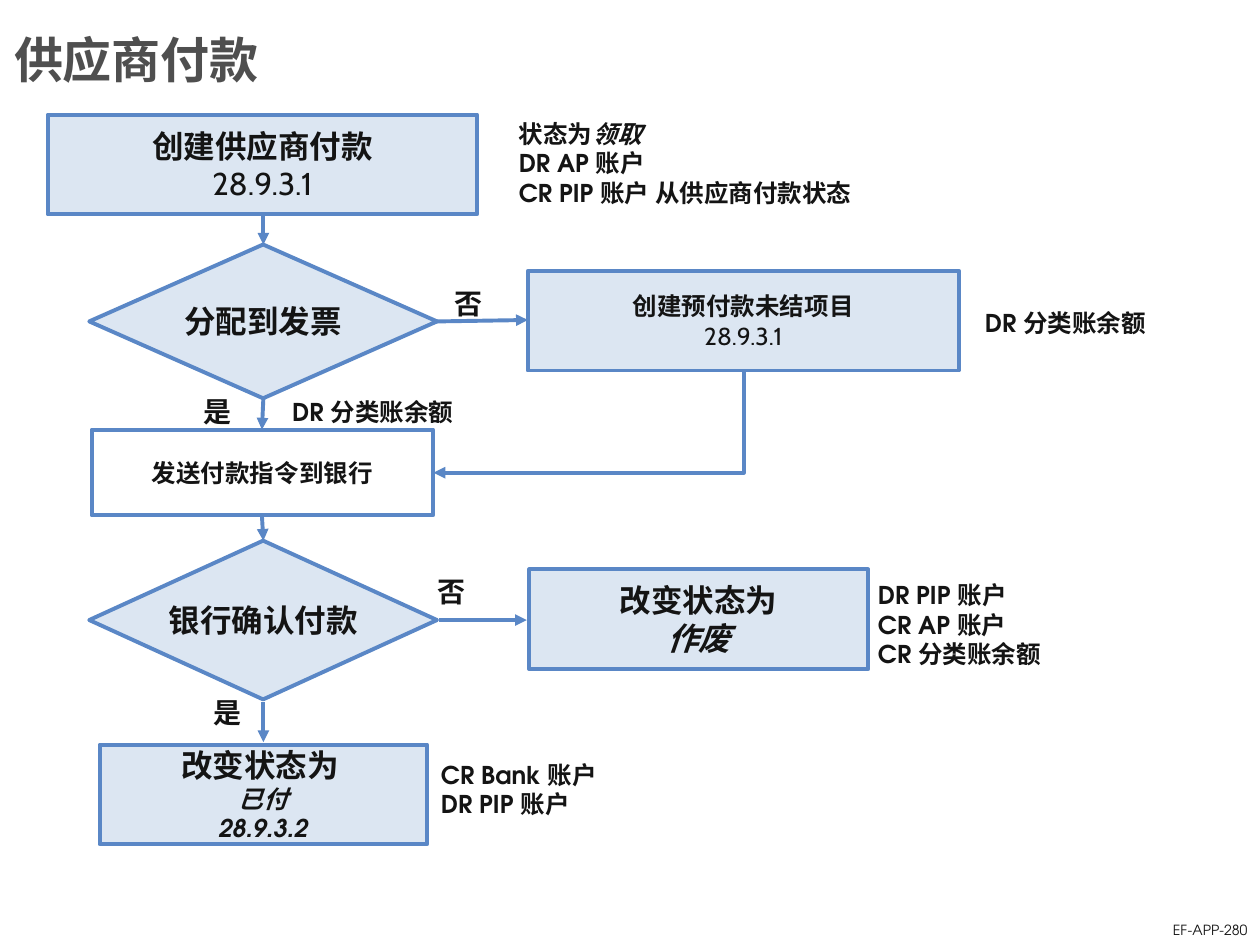
from lxml import etree
from pptx import Presentation
from pptx.dml.color import RGBColor
from pptx.enum.shapes import MSO_CONNECTOR, MSO_SHAPE
from pptx.enum.text import MSO_ANCHOR, PP_ALIGN
from pptx.oxml.ns import qn
from pptx.util import Cm, Pt

COLORS = {
    "text": "141414",
    "title": "4F4F4F",
    "line": "5A87C6",
    "step": "DCE6F2",
    "plain": "FFFFFF",
}
FONT, NUMBER_FONT = "TeX Gyre Adventor", "Cabin"
LINE_WIDTH = 2.25
CENTER, LEFT, RIGHT = PP_ALIGN.CENTER, PP_ALIGN.LEFT, PP_ALIGN.RIGHT


def rgb(name):
    return RGBColor.from_string(COLORS[name])


def add_run(p, text, size=14, bold=True, italic=False, font=FONT, color="text"):
    r = p.add_run()
    r.text = text
    f = r.font
    f.name, f.size, f.bold, f.italic = font, Pt(size), bold, italic
    f.color.rgb = rgb(color)


class FlowSlide:
    """Holds the style and the current slide."""

    def __init__(self, prs):
        self.s = prs.slides.add_slide(prs.slide_layouts[5])

    def fill_text(self, tf, lines, align, anchor=MSO_ANCHOR.MIDDLE, wrap=False):
        """Each line is a list of (text, format) runs."""
        tf.word_wrap = wrap
        tf.vertical_anchor = anchor
        for i, runs in enumerate(lines):
            p = tf.add_paragraph() if i else tf.paragraphs[0]
            p.alignment = align
            for text, fmt in runs:
                add_run(p, text, **fmt)

    def title(self, text, x, y, w, h):
        sp = self.s.shapes.title
        sp.left, sp.top, sp.width, sp.height = Cm(x), Cm(y), Cm(w), Cm(h)
        self.fill_text(sp.text_frame, [[(text, dict(size=28, color="title"))]], LEFT, wrap=True)

    def shape(self, kind, x, y, w, h, lines, fill="step", align=CENTER):
        sp = self.s.shapes.add_shape(kind, Cm(x), Cm(y), Cm(w), Cm(h))
        sp.shadow.inherit = False
        if fill:
            sp.fill.solid()
            sp.fill.fore_color.rgb = rgb(fill)
            sp.line.color.rgb = rgb("line")
            sp.line.width = Pt(LINE_WIDTH)
        else:
            sp.fill.background()
            sp.line.fill.background()
        self.fill_text(sp.text_frame, lines, align)

    def process(self, x, y, w, h, *lines, fill="step"):
        self.shape(MSO_SHAPE.FLOWCHART_PROCESS, x, y, w, h, [[line] for line in lines], fill)

    def decision(self, x, y, w, h, text):
        self.shape(MSO_SHAPE.FLOWCHART_DECISION, x, y, w, h, [[(text, dict(size=18))]])

    def note(self, x, y, w, h, *lines, align=LEFT):
        runs = [[(line, {})] if isinstance(line, str) else line for line in lines]
        self.shape(MSO_SHAPE.FLOWCHART_PROCESS, x, y, w, h, runs, None, align)

    def text(self, text, x, y, w, h, align=CENTER, anchor=MSO_ANCHOR.TOP, **fmt):
        tb = self.s.shapes.add_textbox(Cm(x), Cm(y), Cm(w), Cm(h))
        self.fill_text(tb.text_frame, [[(text, fmt)]], align, anchor, wrap=True)

    def arrow(self, x1, y1, x2, y2, kind=MSO_CONNECTOR.STRAIGHT):
        c = self.s.shapes.add_connector(kind, Cm(x1), Cm(y1), Cm(x2), Cm(y2))
        c.line.color.rgb = rgb("line")
        c.line.width = Pt(LINE_WIDTH)
        spPr = c._element.spPr
        etree.SubElement(spPr.find(qn("a:ln")), qn("a:tailEnd"), type="triangle")
        etree.SubElement(spPr, qn("a:effectLst"))
        return c

    def elbow(self, x1, y1, x2, y2):
        """Arrow that runs down first, then left: one bend turned by 90 degrees."""
        w, h = y2 - y1, x1 - x2
        left, top = (x1 + x2 - w) / 2, (y1 + y2 - h) / 2
        c = self.arrow(left, top, left + w, top + h, MSO_CONNECTOR.ELBOW)
        spPr = c._element.spPr
        spPr.find(qn("a:xfrm")).set("rot", str(90 * 60000))
        spPr.find(qn("a:prstGeom")).set("prst", "bentConnector2")


def main():
    prs = Presentation()
    prs.slide_width, prs.slide_height = Cm(25.4), Cm(19.05)
    flow = FlowSlide(prs)
    big = dict(size=18)
    italic = dict(italic=True)

    # Title and slide code
    flow.title("供应商付款", 0.03, 0.2, 22.86, 1.98)
    flow.text("EF-APP-280", 22.86, 18.44, 2.54, 0.61, RIGHT, MSO_ANCHOR.BOTTOM,
              size=8, bold=False)

    # Main column
    flow.process(0.96, 2.31, 8.66, 2.01, ("创建供应商付款", big),
                 ("28.9.3.1", dict(size=18, bold=False, font=NUMBER_FONT)))
    flow.decision(1.8, 4.93, 7.01, 3.1, "分配到发票")
    flow.process(1.85, 8.66, 6.88, 1.73, ("发送付款指令到银行", {}), fill="plain")
    flow.decision(1.8, 10.9, 7.01, 3.2, "银行确认付款")
    flow.process(2.01, 15.01, 6.6, 2.01, ("改变状态为 ", big),
                 ("已付", italic), ("28.9.3.2", italic))

    # Side branches
    flow.process(10.64, 5.46, 8.69, 2.01, ("创建预付款未结项目", {}),
                 ("28.9.3.1", dict(bold=False, font=NUMBER_FONT)))
    flow.process(10.67, 11.48, 6.83, 2.01, ("改变状态为", dict(size=18, font=NUMBER_FONT)),
                 ("作废", dict(size=18, italic=True)))

    # Accounting notes
    flow.note(10.21, 2.18, 11.15, 2.21, [("状态为", {}), ("领取", italic)],
              "DR AP 账户", "CR PIP 账户 从供应商付款状态")
    flow.note(18.85, 5.84, 5.26, 1.35, "DR 分类账余额", align=CENTER)
    flow.note(5.64, 7.92, 7.9, 0.74, "DR 分类账余额")
    flow.note(17.45, 11.48, 6.76, 2.21, "DR PIP 账户", "CR AP 账户", "CR 分类账余额")
    flow.note(8.64, 14.81, 5.38, 2.21, "CR Bank 账户", "DR PIP 账户")

    # Yes / no labels
    for text, x, y, w in [("否", 8.26, 5.66, 2.36), ("是", 3.38, 7.82, 2.01),
                          ("否", 8.1, 11.46, 2.01), ("是", 3.58, 13.89, 2.01)]:
        flow.text(text, x, y, w, 0.94, size=16)

    # Arrows
    for ends in [(5.31, 4.32, 5.31, 4.93), (5.31, 8.03, 5.28, 8.66),
                 (5.28, 10.39, 5.31, 10.9), (5.31, 14.15, 5.31, 14.96),
                 (8.79, 6.48, 10.64, 6.45), (8.84, 12.5, 10.62, 12.5)]:
        flow.arrow(*ends)
    flow.elbow(14.99, 7.44, 8.74, 9.53)

    prs.save("out.pptx")


if __name__ == "__main__":
    main()
